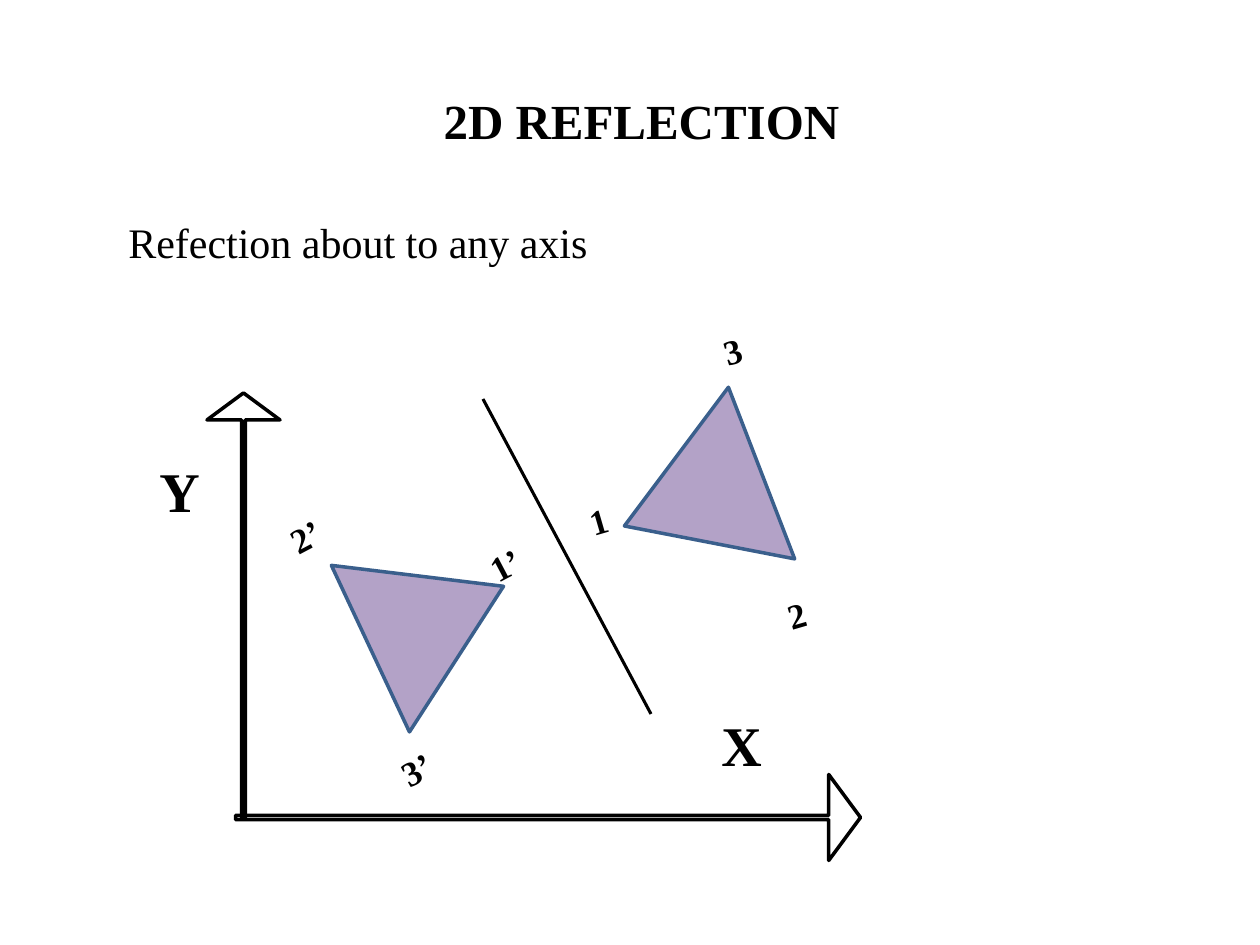
from pptx import Presentation
from pptx.dml.color import RGBColor
from pptx.enum.shapes import MSO_CONNECTOR as CONNECTOR, MSO_SHAPE as SHAPE
from pptx.enum.text import MSO_ANCHOR as ANCHOR, MSO_AUTO_SIZE as AUTO_SIZE, PP_ALIGN as ALIGN
from pptx.oxml.ns import qn
from pptx.util import Emu, Pt
from lxml.etree import SubElement

PX = 914400 / 126
FONT = "Times New Roman"
BLACK = RGBColor(0x00, 0x00, 0x00)
PURPLE = RGBColor(0xB3, 0xA2, 0xC7)
BLUE = RGBColor(0x3A, 0x5F, 0x8C)

AXIS_ARROWS = [
    ((207, 393, 73, 426), 0),
    ((505, 505, 86, 625), 90),
]
AXIS_NAMES = [
    ("X", (709, 704, 74, 81)),
    ("Y", (147, 450, 88, 81)),
]
TRIANGLES = [
    ((601, 426, 184, 147), 248.9),
    ((345, 544, 184, 147), 64.9),
]
OBJECT_TILT = 343.8
IMAGE_TILT = 332.2
VERTEX_NAMES = [
    ("1", (577, 491, 59, 55), OBJECT_TILT),
    ("2", (775, 585, 59, 55), OBJECT_TILT),
    ("3", (711, 321, 59, 55), OBJECT_TILT),
    ("1’", (476, 529, 88, 55), IMAGE_TILT),
    ("2’", (277, 504, 74, 55), IMAGE_TILT),
    ("3’", (388, 737, 74, 55), IMAGE_TILT),
]


def emus(lengths):
    return [Emu(round(length * PX)) for length in lengths]


def write(holder, words, size, bold=True):
    frame = holder.text_frame
    frame.text = words
    frame.word_wrap = True
    frame.auto_size = AUTO_SIZE.SHAPE_TO_FIT_TEXT
    frame.vertical_anchor = ANCHOR.TOP
    paragraph = frame.paragraphs[0]
    paragraph.alignment = ALIGN.LEFT
    font = paragraph.runs[0].font
    font.name = FONT
    font.size = Pt(size)
    font.bold = bold
    font.color.rgb = BLACK


def add_title(slide, words, place):
    title = slide.shapes.title
    title.left, title.top, title.width, title.height = emus(place)
    write(title, words, 28)


def add_label(shapes, words, place, size, bold=True, tilt=0):
    label = shapes.add_textbox(*emus(place))
    label.rotation = tilt
    write(label, words, size, bold)


def add_outlined(shapes, kind, place, turn, line_color):
    outlined = shapes.add_shape(kind, *emus(place))
    outlined.rotation = turn
    outlined.shadow.inherit = False
    outlined.fill.background()
    outlined.line.color.rgb = line_color
    outlined.line.width = Pt(2)
    return outlined


def add_axis_arrow(shapes, place, turn):
    arrow = add_outlined(shapes, SHAPE.UP_ARROW, place, turn, BLACK)
    arrow.adjustments[0] = 0.05
    arrow.adjustments[1] = 0.37


def add_triangle(shapes, place, turn):
    triangle = add_outlined(shapes, SHAPE.ISOSCELES_TRIANGLE, place, turn, BLUE)
    triangle.fill.solid()
    triangle.fill.fore_color.rgb = PURPLE


def add_mirror_line(shapes, ends):
    mirror = shapes.add_connector(CONNECTOR.STRAIGHT, *emus(ends))
    mirror.line.color.rgb = BLACK
    mirror.line.width = Pt(1.75)
    SubElement(mirror._element.spPr, qn("a:effectLst"))


def main():
    deck = Presentation()
    deck.slide_width, deck.slide_height = emus((1260, 945))
    slide = deck.slides.add_slide(deck.slide_layouts[5])
    add_title(slide, "2D REFLECTION", (431, 84, 462, 72))

    diagram = slide.shapes.add_group_shape().shapes
    for place, turn in AXIS_ARROWS:
        add_axis_arrow(diagram, place, turn)
    for name, place in AXIS_NAMES:
        add_label(diagram, name, place, 32)
    for place, turn in TRIANGLES:
        add_triangle(diagram, place, turn)
    for name, place, tilt in VERTEX_NAMES:
        add_label(diagram, name, place, 20, tilt=tilt)

    add_label(slide.shapes, "Refection about to any axis", (116, 210, 620, 63), 24, bold=False)
    add_mirror_line(slide.shapes, (483, 399, 651, 714))
    deck.save("out.pptx")


if __name__ == "__main__":
    main()
